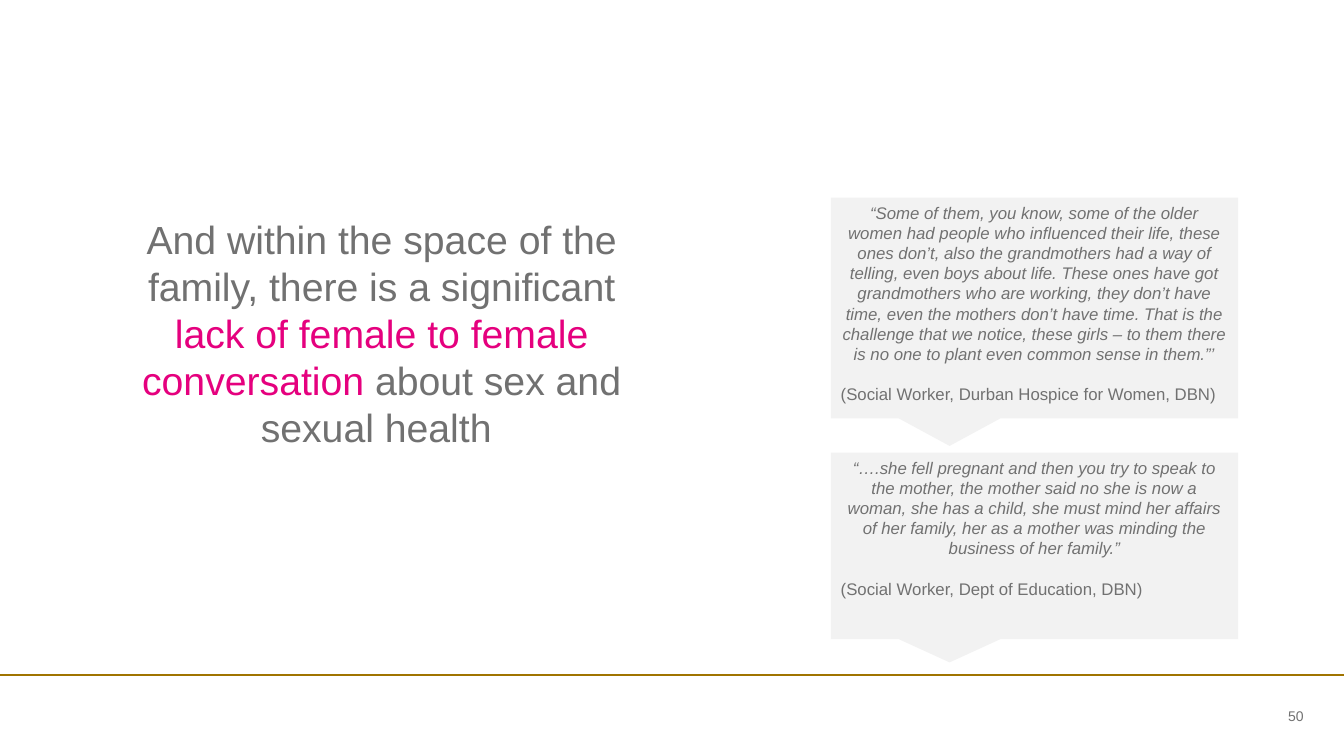
from dataclasses import dataclass

from lxml import etree
from pptx import Presentation
from pptx import util as u
from pptx.dml.color import RGBColor
from pptx.enum import shapes, text
from pptx.oxml.ns import qn

COLORS = {"grey": "717171", "pink": "E5007E", "panel": "F2F2F2", "rule": "A07400"}
FONT = "Arial"
LINE_FACTOR = 1.2


@dataclass
class Quote:
    top: float
    height: float
    words: str
    speaker: str


QUOTES = [
    Quote(4.49, 1.85,
          "“….she fell pregnant and then you try to speak to the mother, the mother "
          "said no she is now a woman, she has a child, she must mind her affairs of "
          "her family, her as a mother was minding the business of her family.”",
          "(Social Worker, Dept of Education, DBN)"),
    Quote(1.96, 2.19,
          "“Some of them, you know, some of the older women had people who influenced "
          "their life, these ones don’t, also the grandmothers had a way of telling, "
          "even boys about life. These ones have got grandmothers who are working, they "
          "don’t have time, even the mothers don’t have time. That is the challenge that "
          "we notice, these girls – to them there is no one to plant even common sense "
          "in them.”’",
          "(Social Worker, Durban Hospice for Women, DBN)"),
]

STATEMENT = [
    ("And within the space of the family, there is a significant ", "grey"),
    ("lack of female to female conversation ", "pink"),
    ("about sex and sexual health ", "grey"),
]


def color(name: str) -> RGBColor:
    return RGBColor.from_string(COLORS[name])


def style(p, size: float, align, italic: bool = False) -> None:
    p.alignment = align
    p.line_spacing = u.Pt(size * LINE_FACTOR)
    p.font.name = FONT
    p.font.size = u.Pt(size)
    p.font.italic = italic
    p.font.color.rgb = color("grey")


def add_text(s, left: float, top: float, width: float, height: float, anchor):
    tf = s.shapes.add_textbox(*map(u.Inches, (left, top, width, height))).text_frame
    tf.word_wrap = True
    tf.vertical_anchor = anchor
    tf.margin_left = tf.margin_right = tf.margin_top = tf.margin_bottom = 0
    return tf


def add_rule(s, y: float, width: float) -> None:
    line = s.shapes.add_connector(shapes.MSO_CONNECTOR.STRAIGHT, 0, u.Inches(y),
                                  u.Inches(width), u.Inches(y))
    line.line.color.rgb = color("rule")
    line.line.width = u.Pt(1.5)
    etree.SubElement(line._element.spPr, qn("a:effectLst"))


def add_quote(s, quote: Quote) -> None:
    sp = s.shapes.add_shape(shapes.MSO_SHAPE.RECTANGULAR_CALLOUT,
                            *map(u.Inches, (8.24, quote.top, 4.04, quote.height)))
    sp.shadow.inherit = False
    sp.fill.solid()
    sp.fill.fore_color.rgb = color("panel")
    sp.line.fill.background()
    tf = sp.text_frame
    tf.word_wrap = True
    tf.vertical_anchor = text.MSO_ANCHOR.TOP
    p = tf.paragraphs[0]
    p.text = quote.words
    style(p, 12, text.PP_ALIGN.CENTER, italic=True)
    p = tf.add_paragraph()
    p.text = quote.speaker
    style(p, 12, text.PP_ALIGN.LEFT)
    p.space_before = u.Pt(12 * LINE_FACTOR)


def main() -> None:
    prs = Presentation()
    prs.slide_width, prs.slide_height = u.Inches(13.33), u.Inches(7.5)
    s = prs.slides.add_slide(prs.slide_layouts[6])

    add_rule(s, 6.7, 13.33)

    p = add_text(s, 11.87, 7, 1.06, 0.2, text.MSO_ANCHOR.MIDDLE).paragraphs[0]
    p.text = "50"
    style(p, 10, text.PP_ALIGN.RIGHT)

    p = add_text(s, 1.12, 2.14, 5.33, 2.36, text.MSO_ANCHOR.TOP).paragraphs[0]
    style(p, 28, text.PP_ALIGN.CENTER)
    for words, tone in STATEMENT:
        r = p.add_run()
        r.text = words
        r.font.color.rgb = color(tone)

    for quote in QUOTES:
        add_quote(s, quote)

    prs.save("out.pptx")


if __name__ == "__main__":
    main()
